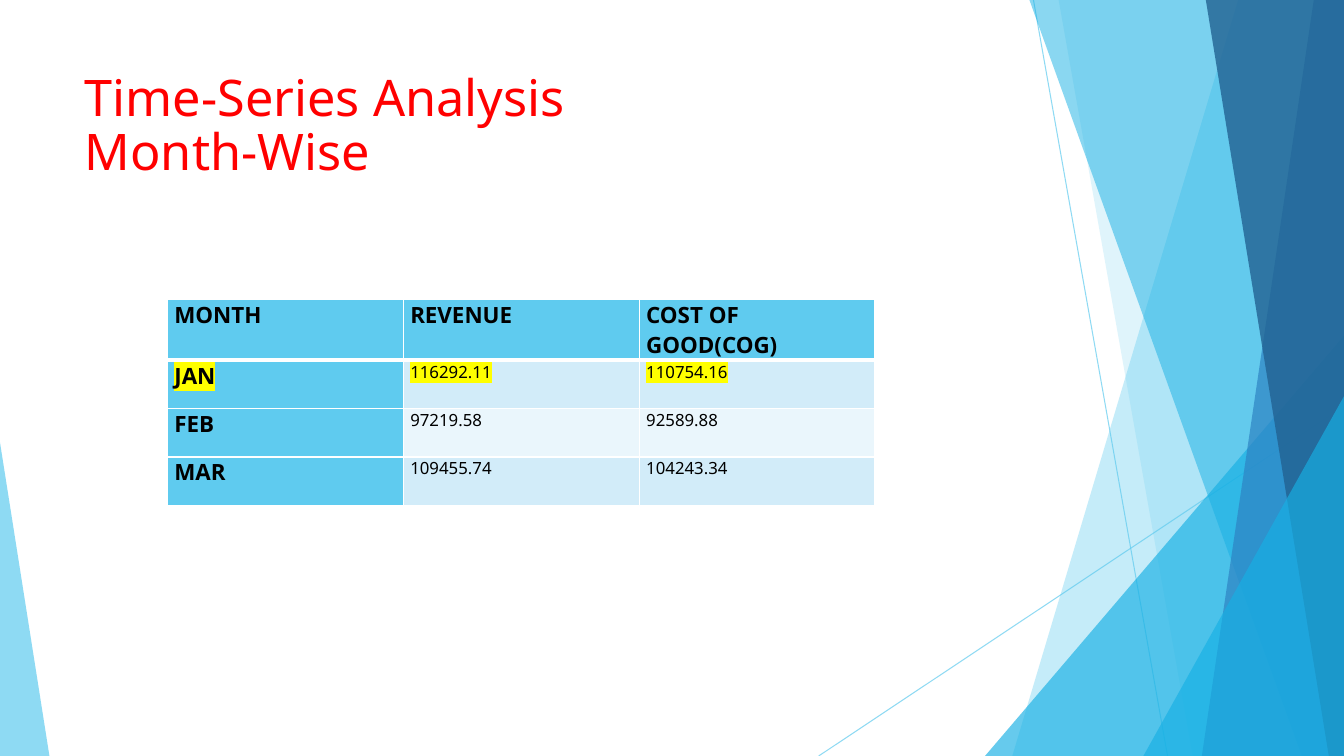
from copy import deepcopy
from dataclasses import dataclass

from lxml.etree import SubElement
from pptx import Presentation
from pptx.dml.color import RGBColor
from pptx.enum.shapes import MSO_CONNECTOR, MSO_SHAPE
from pptx.enum.text import MSO_ANCHOR, MSO_AUTO_SIZE, PP_ALIGN
from pptx.oxml import parse_xml
from pptx.oxml.ns import nsdecls, qn
from pptx.util import Inches, Pt

WIDTH, HEIGHT = 13.33, 7.5
SKY, CYAN, BLUE, NAVY = "5FCBEF", "17B0E4", "2E83C3", "226292"
BANDS = ("D2ECF9", "EAF6FC")
ROWS = (
    ("MONTH", "REVENUE", "COST OF GOOD(COG)"),
    ("JAN", "116292.11", "110754.16"),
    ("FEB", "97219.58", "92589.88"),
    ("MAR", "109455.74", "104243.34"),
)
HIGHLIGHTED_ROW = 1
COLUMN_WIDTH, ROW_HEIGHT = 2.34, 0.48


@dataclass
class Ray:
    """Thin line between two points."""
    x1: float
    y1: float
    x2: float
    y2: float


@dataclass
class Panel:
    """Full-height panel with a slanted left edge, reaching the right slide edge."""
    top_x: float
    bottom_x: float
    color: str
    opacity: int


@dataclass
class Wedge:
    """Triangle standing on the bottom slide edge."""
    left: float
    top: float
    width: float
    apex: float
    color: str
    opacity: int


RAYS = (Ray(10.25, 0, 11.58, HEIGHT), Ray(WIDTH, 4.03, 8.12, HEIGHT))
FACETS = (
    Panel(12.28, 10.04, SKY, 36),
    Panel(10.5, 11.83, SKY, 20),
    Wedge(9.77, 3.33, 3.56, 1, CYAN, 66),
    Panel(10.21, 12.91, CYAN, 50),
    Panel(13.03, 11.92, BLUE, 70),
    Panel(11.96, 13.18, NAVY, 80),
    Wedge(11.34, 3.93, 1.99, 1, CYAN, 66),
    Wedge(0, 4.39, 0.49, 0, SKY, 70),
)


def rgb(color: str) -> RGBColor:
    """Turn a hex string into a colour."""
    return RGBColor.from_string(color)


def paint(fill, color: str, opacity: int = 100) -> None:
    """Make a fill solid, with an opacity in percent."""
    fill.solid()
    fill.fore_color.rgb = rgb(color)
    if opacity < 100:
        clr = fill._xPr.find(f"{qn('a:solidFill')}/{qn('a:srgbClr')}")
        SubElement(clr, qn("a:alpha"), val=str(opacity * 1000))


def format_run(r, size: float, color: str, bold: bool = False) -> None:
    """Apply the text format to a run."""
    for name, value in {"name": "Noto Sans", "size": Pt(size), "bold": bold}.items():
        setattr(r.font, name, value)
    r.font.color.rgb = rgb(color)


def add_ray(s, ray: Ray) -> None:
    """Draw a thin translucent line."""
    ends = (Inches(v) for v in (ray.x1, ray.y1, ray.x2, ray.y2))
    line = s.shapes.add_connector(MSO_CONNECTOR.STRAIGHT, *ends)
    line.line.width = Pt(0.75)
    paint(line.line.fill, SKY, 70)
    SubElement(line._element.spPr, qn("a:effectLst"))


def add_facet(s, facet: Panel | Wedge) -> None:
    """Draw a translucent panel or wedge."""
    if isinstance(facet, Panel):
        corners = ((WIDTH, 0), (WIDTH, HEIGHT), (facet.bottom_x, HEIGHT))
        builder = s.shapes.build_freeform(Inches(facet.top_x), 0)
        builder.add_line_segments([(Inches(x), Inches(y)) for x, y in corners], close=True)
        sp = builder.convert_to_shape()
    else:
        box = (facet.left, facet.top, facet.width, HEIGHT - facet.top)
        sp = s.shapes.add_shape(MSO_SHAPE.ISOSCELES_TRIANGLE, *map(Inches, box))
        sp.adjustments[0] = facet.apex
    paint(sp.fill, facet.color, facet.opacity)
    sp.line.fill.background()
    sp.shadow.inherit = False


def add_title(s) -> None:
    """Place and format the title."""
    sp = s.shapes.title
    sp.left, sp.top, sp.width, sp.height = map(Inches, (0.74, 0.67, 9.4, 1.44))
    tf = sp.text_frame
    formats = {"word_wrap": True, "auto_size": MSO_AUTO_SIZE.NONE, "vertical_anchor": MSO_ANCHOR.TOP}
    for name, value in formats.items():
        setattr(tf, name, value)
    p = tf.paragraphs[0]
    p.text = "Time-Series Analysis\vMonth-Wise"
    p.alignment, p.line_spacing = PP_ALIGN.LEFT, 0.9
    for r in p.runs:
        format_run(r, 36, "FF0000")
    p._p.find(qn("a:br")).append(deepcopy(p.runs[0]._r.rPr))


def add_borders(cell, top: float, bottom: float) -> None:
    """Draw white cell borders with widths in points."""
    widths = {"lnL": 1, "lnR": 1, "lnT": top, "lnB": bottom}
    for i, (tag, width) in enumerate(widths.items()):
        border = parse_xml(
            f'<a:{tag} {nsdecls("a")} w="{Pt(width)}"><a:solidFill>'
            f'<a:srgbClr val="FFFFFF"/></a:solidFill></a:{tag}>'
        )
        cell._tc.get_or_add_tcPr().insert(i, border)


def add_table(s) -> None:
    """Build the monthly revenue and cost table."""
    n_rows, n_cols = len(ROWS), len(ROWS[0])
    box = (1.66, 2.97, COLUMN_WIDTH * n_cols, ROW_HEIGHT * n_rows)
    table = s.shapes.add_table(n_rows, n_cols, *map(Inches, box)).table
    table.first_col = True
    for i, row in enumerate(ROWS):
        for j, text in enumerate(row):
            cell = table.cell(i, j)
            cell.margin_left = cell.margin_right = Inches(0.07)
            cell.margin_top = cell.margin_bottom = 0
            heading = i == 0 or j == 0
            paint(cell.fill, SKY if heading else BANDS[(i - 1) % 2])
            add_borders(cell, 3 if i == 1 else 1, 3 if i == 0 else 1)
            r = cell.text_frame.paragraphs[0].add_run()
            r.text = text
            format_run(r, 16 if heading else 12, "000000", heading)
            if i == HIGHLIGHTED_ROW:
                mark = parse_xml(f'<a:highlight {nsdecls("a")}><a:srgbClr val="FFFF00"/></a:highlight>')
                r._r.rPr.find(qn("a:solidFill")).addnext(mark)


def main() -> None:
    """Build and save the slide."""
    prs = Presentation()
    prs.slide_width, prs.slide_height = Inches(WIDTH), Inches(HEIGHT)
    s = prs.slides.add_slide(prs.slide_layouts[5])
    for ray in RAYS:
        add_ray(s, ray)
    for facet in FACETS:
        add_facet(s, facet)
    add_title(s)
    add_table(s)
    prs.save("out.pptx")


if __name__ == "__main__":
    main()
